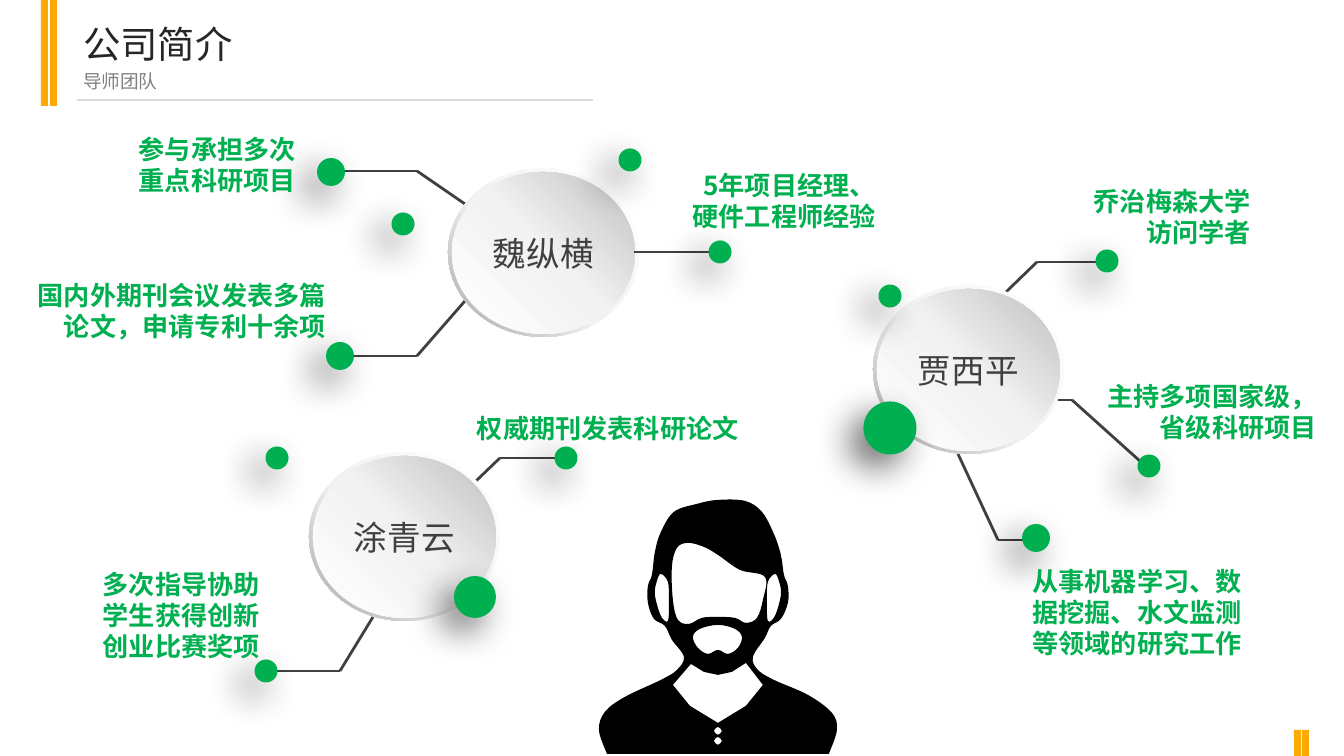
from itertools import pairwise

from lxml import etree
from pptx import Presentation
from pptx import util as u
from pptx.dml.color import RGBColor
from pptx.enum import shapes, text
from pptx.oxml import parse_xml
from pptx.oxml.ns import qn

PX = 914400 / 134.4
NS = 'xmlns:a="http://schemas.openxmlformats.org/drawingml/2006/main"'
INK = {"amber": "FDA907", "green": "00B050", "line": "404040", "rule": "D9D9D9",
       "title": "262626", "sub": "808080", "black": "000000"}
KIND = shapes.MSO_SHAPE
ALIGN = text.PP_ALIGN

BARS = [(41, 0, 106), (50, 0, 106), (1294, 730, 26), (1302, 730, 26)]
MENTORS = [(448, 168, "魏纵横"), (873, 285, "贾西平"), (309, 452, "涂青云")]
SPOKE = [(634, 252), (714, 252)]
LINKS = [
    [(336, 171), (417, 171), (465, 204)],
    [(345, 356), (417, 356), (465, 301)],
    [(559, 458), (500, 458), (476, 481)],
    [(271, 671), (340, 671), (373, 617)],
    [(1097, 262), (1037, 262), (1006, 292)],
    [(1005, 400), (1072, 400), (1141, 462)],
    [(1025, 540), (998, 540), (958, 454)],
]
# centre x, centre y, diameter
DOTS = [(331, 172, 28), (403, 224, 23), (340, 356, 28), (630, 160, 23),
        (720, 252, 23), (890, 428, 53), (1149, 466, 23), (1107, 261, 23),
        (1036, 538, 28), (890, 296, 23), (266, 671, 23), (566, 458, 23),
        (475, 597, 42), (277, 458, 23)]
LABELS = [
    (51, 125, 262, 82, "参与承担多次\n重点科研项目"),
    (19, 271, 324, 82, "国内外期刊会议发表多篇论文，申请专利十余项"),
    (670, 161, 223, 82, "5年项目经理、\n硬件工程师经验"),
    (1073, 372, 261, 82, "主持多项国家级，省级科研项目"),
    (1061, 177, 207, 82, "乔治梅森大学\n访问学者"),
    (66, 560, 211, 113, "多次指导协助学生获得创新创业比赛奖项"),
    (453, 404, 303, 50, "权威期刊发表科研论文"),
    (998, 557, 261, 113, "从事机器学习、数据挖掘、水文监测等领域的研究工作"),
]

BODY = [(607, 754), (599, 730), (605, 712), (625, 697), (661, 680), (677, 670),
        (684, 657), (672, 640), (665, 626), (654, 619), (648, 603), (648, 586),
        (652, 575), (655, 552), (661, 532), (674, 512), (697, 504), (718, 500),
        (745, 501), (762, 512), (774, 534), (781, 555), (784, 575), (788, 586),
        (788, 603), (781, 619), (771, 626), (765, 638), (753, 657), (758, 670),
        (774, 680), (808, 695), (832, 713), (837, 730), (829, 754)]
FACE = [(677, 548), (672, 567), (673, 600), (678, 620), (689, 624), (702, 618),
        (718, 617), (735, 618), (746, 623), (757, 618), (763, 600), (765, 577),
        (740, 570), (718, 555), (704, 547), (688, 543)]
EAR = [(661, 574), (657, 581), (655, 595), (661, 616), (668, 621), (669, 600),
       (668, 582)]
MOUTH = [(718, 625), (700, 629), (693, 637), (698, 648), (708, 654), (718, 650),
         (728, 654), (738, 648), (742, 637), (735, 629)]
COLLAR = [(673, 685), (690, 706), (718, 723), (746, 706), (763, 685), (746, 663),
          (732, 672), (718, 675), (704, 672), (691, 664)]


def px(*vals):
    return [u.Emu(round(v * PX)) for v in vals]


def rgb(name):
    return RGBColor.from_string(INK[name])


def shape(slide, kind, box, fill=None):
    item = slide.shapes.add_shape(kind, *px(*box))
    item.shadow.inherit = False
    item.line.fill.background()
    if fill:
        item.fill.solid()
        item.fill.fore_color.rgb = rgb(fill)
    return item


def blend(item, stops, angle):
    """Fill with a linear gradient of (percent, hex) stops."""
    item.fill.background()
    marks = "".join(f'<a:gs pos="{pos * 1000}"><a:srgbClr val="{hue}"/></a:gs>'
                    for pos, hue in stops)
    grad = parse_xml(f'<a:gradFill {NS} rotWithShape="1"><a:gsLst>{marks}</a:gsLst>'
                     f'<a:lin ang="{angle * 60000}" scaled="0"/></a:gradFill>')
    props = item._element.spPr
    props.replace(props.find(qn("a:noFill")), grad)


def write(frame, words, size, color, font="Arial", bold=None, align=None,
          pitch=None, inset=(13, 7), anchor=text.MSO_ANCHOR.TOP, east=False):
    frame.word_wrap = True
    frame.vertical_anchor = anchor
    frame.margin_left, frame.margin_top = px(*inset)
    frame.margin_right, frame.margin_bottom = px(*inset)
    for num, line in enumerate(words.split("\n")):
        para = frame.add_paragraph() if num else frame.paragraphs[0]
        para.alignment = align
        if pitch:
            para.line_spacing = u.Pt(pitch)
        run = para.add_run()
        run.text = line
        run.font.size, run.font.bold, run.font.name = u.Pt(size), bold, font
        run.font.color.rgb = rgb(color)
        if east:
            etree.SubElement(run.font._element, qn("a:ea"), typeface=font)


def note(slide, box, words, size, color, **style):
    write(slide.shapes.add_textbox(*px(*box)).text_frame, words, size, color, **style)


def link(slide, points, color="line", width=1.5):
    for start, end in pairwise(points):
        line = slide.shapes.add_connector(shapes.MSO_CONNECTOR.STRAIGHT,
                                          *px(*start, *end))
        line.line.color.rgb = rgb(color)
        line.line.width = u.Pt(width)
        etree.SubElement(line._element.spPr, qn("a:effectLst"))


def dot(slide, x, y, size):
    item = shape(slide, KIND.OVAL, (x - size / 2, y - size / 2, size, size), "green")
    item._element.spPr.find(qn("a:effectLst")).append(parse_xml(
        f'<a:outerShdw {NS} blurRad="{u.Pt(20)}" dist="{u.Pt(10)}" dir="8100000" '
        'algn="tr" rotWithShape="0"><a:srgbClr val="000000"><a:alpha val="60000"/>'
        '</a:srgbClr></a:outerShdw>'))


def mentor(slide, x, y, name):
    ring = shape(slide, KIND.DONUT, (x, y, 191, 169))
    ring.adjustments[0] = 0.049
    blend(ring, [(0, "FFFFFF"), (55, "F2F2F2"), (100, "A6A6A6")], 135)
    disc = shape(slide, KIND.OVAL, (x + 4, y + 4, 183, 162))
    blend(disc, [(0, "FFFFFF"), (51, "F2F2F2"), (100, "BFBFBF")], 315)
    write(disc.text_frame, name, 18, "line", align=ALIGN.CENTER,
          anchor=text.MSO_ANCHOR.MIDDLE)


def soften(item, first, sharp):
    """Turn the straight segments into curves; keep one ring sharp."""
    rings = []
    for move in item._element.iter(qn("a:moveTo")):
        lines = []
        for step in move.itersiblings():
            if step.tag != qn("a:lnTo"):
                break
            lines.append(step)
        rings.append([move] + lines)
    for num, ring in enumerate(rings):
        if num == sharp:
            continue
        pts = [(int(s[0].get("x")), int(s[0].get("y"))) for s in ring]
        ends = (pts[:1], pts[-1:]) if num == first else (pts[-2:-1], pts[1:2])
        row = ends[0] + pts + ends[1]
        for step, a, b, c, d in zip(ring[1:], row, row[1:], row[2:], row[3:]):
            near = [q + (r - p) / 6 for p, q, r in zip(a, b, c)]
            far = [q - (r - p) / 6 for p, q, r in zip(b, c, d)]
            marks = "".join(f'<a:pt x="{round(x)}" y="{round(y)}"/>'
                            for x, y in (near, far, c))
            step.getparent().replace(step, parse_xml(
                f'<a:cubicBezTo {NS}>{marks}</a:cubicBezTo>'))


def person(slide):
    """Bearded bust, with face, ears, mouth, collar and buttons cut out."""
    fine = 10
    twin = [(1436 - x, y) for x, y in EAR]
    studs = [[(718, y - 4), (722, y), (718, y + 4), (714, y)] for y in (731, 741)]
    rings = [BODY] + [part + part[:1] for part in (COLLAR, FACE, EAR, twin, MOUTH, *studs)]
    rings = [[(x * fine, y * fine) for x, y in ring] for ring in rings]
    pen = slide.shapes.build_freeform(*rings[0][0], scale=PX / fine)
    for num, ring in enumerate(rings):
        if num:
            pen.move_to(*ring[0])
        pen.add_line_segments(ring[1:], close=num == 0)
    bust = pen.convert_to_shape()
    soften(bust, first=0, sharp=1)
    bust.shadow.inherit = False
    bust.line.fill.background()
    bust.fill.solid()
    bust.fill.fore_color.rgb = rgb("black")


def main():
    deck = Presentation()
    deck.slide_width, deck.slide_height = px(1344, 756)
    slide = deck.slides.add_slide(deck.slide_layouts[6])
    for x, y, high in BARS:
        shape(slide, KIND.RECTANGLE, (x, y, 7, high), "amber")
    link(slide, [(77, 100), (593, 100)], "rule", 0.75)
    note(slide, (70, 14, 569, 59), "公司简介", 20, "title", font="Roboto Condensed")
    note(slide, (70, 63, 569, 36), "导师团队", 10, "sub")
    person(slide)
    for points in LINKS:
        link(slide, points)
    for spot in MENTORS:
        mentor(slide, *spot)
    link(slide, SPOKE)
    for spot in DOTS:
        dot(slide, *spot)
    for *box, words in LABELS:
        note(slide, box, words, 14, "green", font="Noto Sans CJK SC", bold=True,
             align=ALIGN.RIGHT, pitch=16.6, inset=(17, 9), east=True)
    deck.save("out.pptx")


if __name__ == "__main__":
    main()
